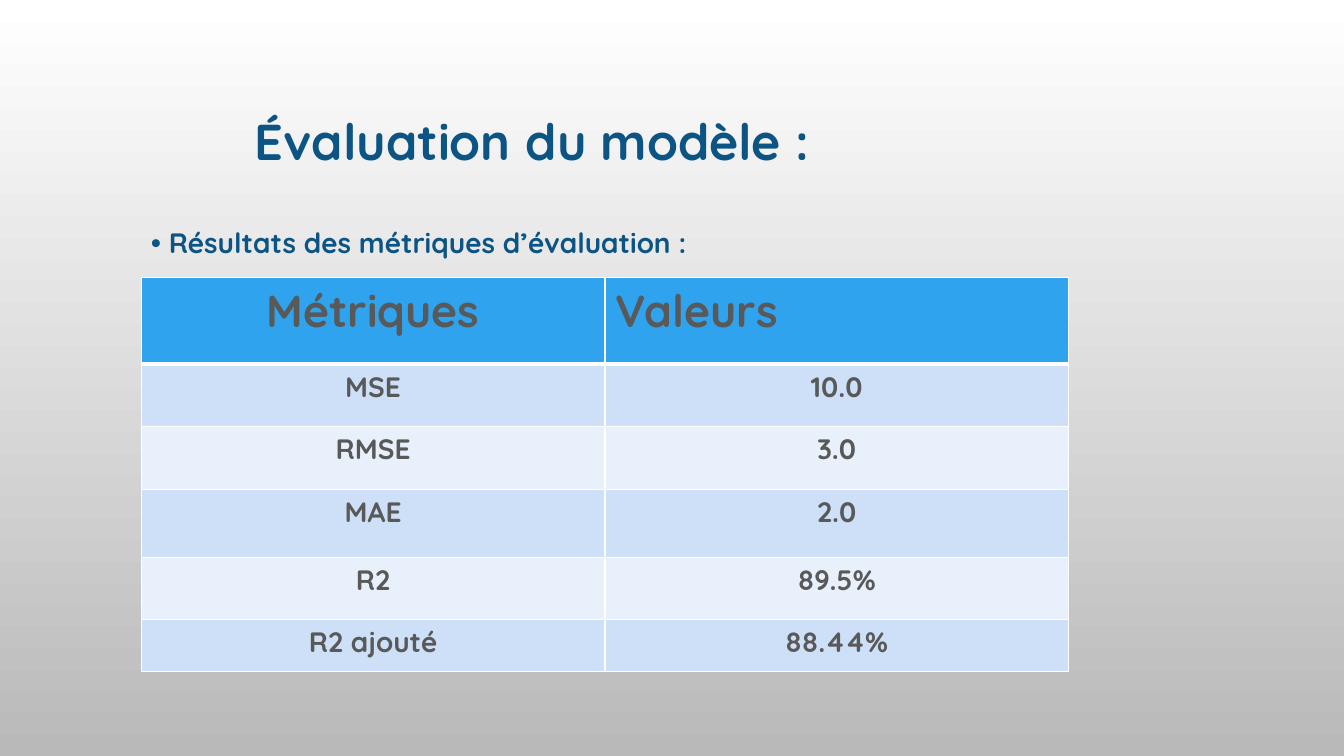
from lxml import etree
from pptx import Presentation
from pptx import util as u
from pptx.dml.color import RGBColor
from pptx.enum import text
from pptx.oxml.ns import qn

NAVY, GREY, WHITE = "0B5484", "595959", "FFFFFF"
HEADER, BANDS = "2FA3EE", ("CDE0F8", "E8F0FC")


def rgb(value):
    return RGBColor.from_string(value)


def add_span(para, words, size, color):
    span = para.add_run()
    span.text = words
    span.font.name = "Quicksand"
    span.font.size = u.Pt(size)
    span.font.bold = True
    span.font.color.rgb = rgb(color)


deck = Presentation()
deck.slide_width, deck.slide_height = u.Cm(33.87), u.Cm(19.05)
page = deck.slides.add_slide(deck.slide_layouts[6])

backdrop = page.background.fill
backdrop.gradient()
backdrop.gradient_angle = 270
for stop, color in zip(backdrop.gradient_stops, (WHITE, "B9B9B9")):
    stop.color.rgb = rgb(color)

# Title and subtitle
for words, size, left, top, width, height in (
    ("Évaluation du modèle :", 36, 6.17, 2.64, 16.36, 1.8),
    ("• Résultats des métriques d’évaluation :", 20, 3.56, 5.56, 15.6, 1.12),
):
    box = page.shapes.add_textbox(u.Cm(left), u.Cm(top), u.Cm(width), u.Cm(height))
    box.text_frame.word_wrap = True
    box.text_frame.auto_size = text.MSO_AUTO_SIZE.SHAPE_TO_FIT_TEXT
    add_span(box.text_frame.paragraphs[0], words, size, NAVY)

# Metrics table
metrics = (
    ("Métriques", "Valeurs"),
    ("MSE", "10.0"),
    ("RMSE", "3.0"),
    ("MAE", "2.0"),
    ("R2", "89.5%"),
    ("R2 ajouté", "88.44%"),
)
row_heights = (2.18, 1.57, 1.6, 1.7, 1.57, 1.32)
table = page.shapes.add_table(
    len(metrics), 2, u.Cm(3.56), u.Cm(6.99), u.Cm(23.37), u.Cm(sum(row_heights))
).table

for row, (values, height) in enumerate(zip(metrics, row_heights)):
    table.rows[row].height = u.Cm(height)
    for column, value in enumerate(values):
        cell = table.cell(row, column)
        properties = cell._tc.get_or_add_tcPr()
        for side in "LRTB":
            thick = (row, side) in ((0, "B"), (1, "T"))
            line = etree.SubElement(properties, qn(f"a:ln{side}"), w=str(u.Pt(3 if thick else 1)))
            fill = etree.SubElement(line, qn("a:solidFill"))
            etree.SubElement(fill, qn("a:srgbClr"), val=WHITE)
        cell.fill.solid()
        cell.fill.fore_color.rgb = rgb(BANDS[(row - 1) % 2] if row else HEADER)
        para = cell.text_frame.paragraphs[0]
        left_aligned = value == "Valeurs"
        para.alignment = text.PP_ALIGN.LEFT if left_aligned else text.PP_ALIGN.CENTER
        add_span(para, value, 20 if row else 32, GREY)

deck.save("out.pptx")
